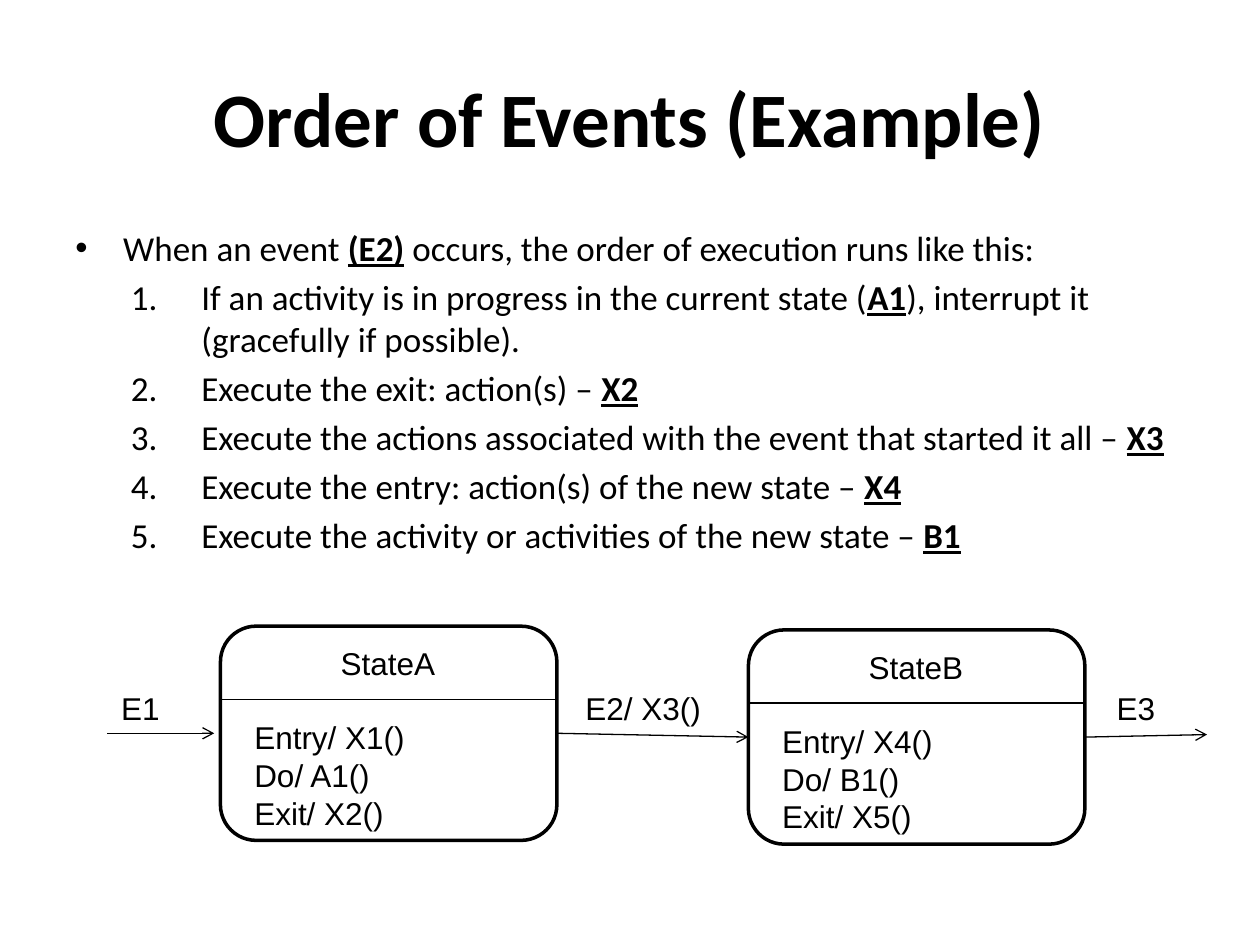
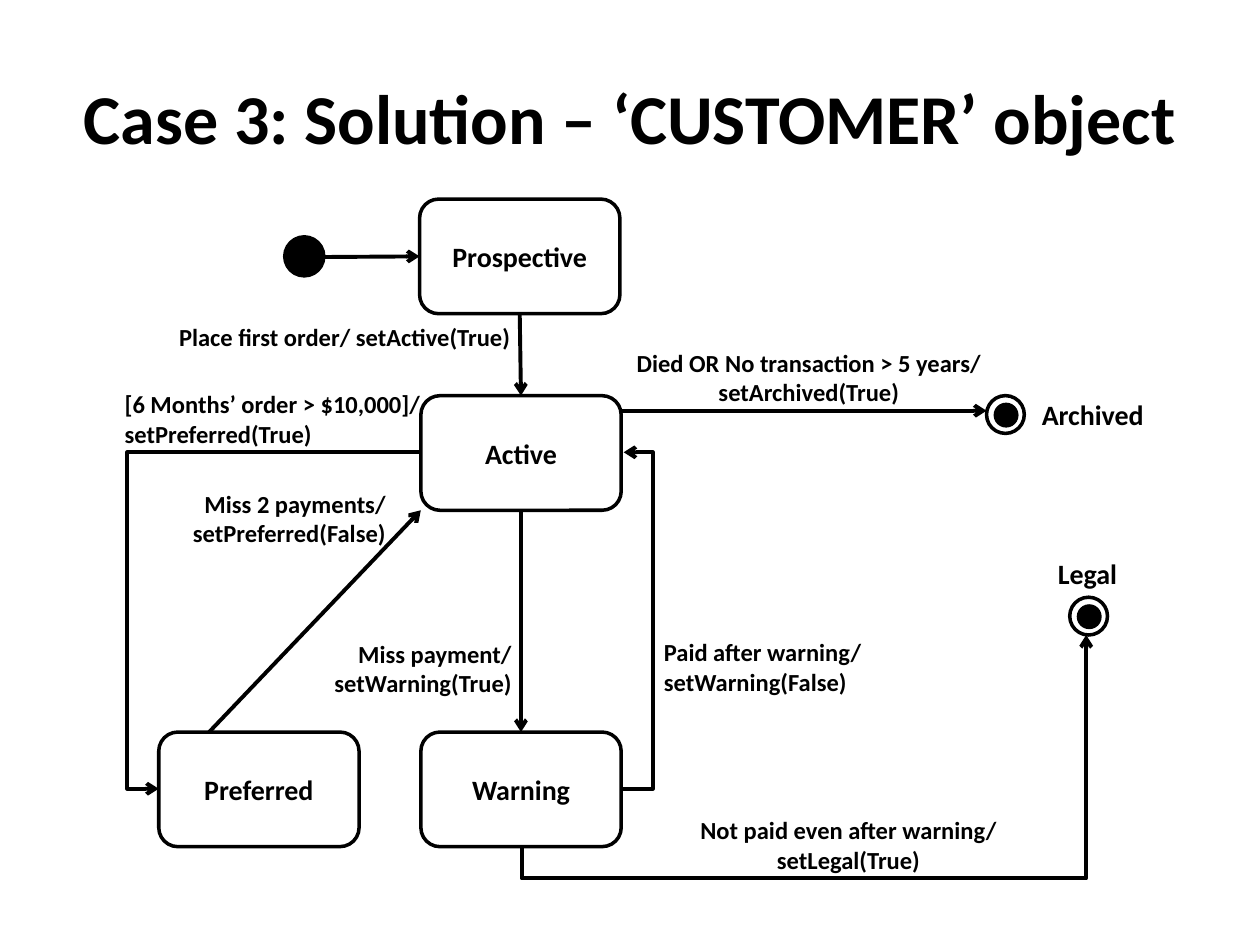
"""Build two slides on state diagrams: order of events, and a customer object."""
from lxml import etree
from pptx import Presentation
from pptx.dml.color import RGBColor
from pptx.enum.shapes import MSO_CONNECTOR, MSO_SHAPE
from pptx.enum.text import MSO_ANCHOR, PP_ALIGN
from pptx.oxml.ns import qn
from pptx.util import Pt

PX = 9144
BLACK = RGBColor(0, 0, 0)
HEADING_FONT = "Calibri"
DIAGRAM_FONT = "Arial"
LEFT, CENTER, RIGHT = PP_ALIGN.LEFT, PP_ALIGN.CENTER, PP_ALIGN.RIGHT
MIDDLE = MSO_ANCHOR.MIDDLE
STRAIGHT, ELBOW = MSO_CONNECTOR.STRAIGHT, MSO_CONNECTOR.ELBOW
ROUNDED = MSO_SHAPE.ROUNDED_RECTANGLE
OVAL = MSO_SHAPE.OVAL
NODE = MSO_SHAPE.FLOWCHART_CONNECTOR
TOP_SIDE, LEFT_SIDE, BOTTOM_SIDE, RIGHT_SIDE = range(4)
TITLE_BOUNDS = (50, 30, 900, 125)


def add_box(page, bounds, text="", size=14, font=HEADING_FONT, bold=True,
            align=CENTER, kind=None, fill=None):
    """Add a text box, or an outlined shape when a kind is given."""
    bounds = [length * PX for length in bounds]
    if kind is None:
        box = page.shapes.add_textbox(*bounds)
    else:
        box = page.shapes.add_shape(kind, *bounds)
        box.shadow.inherit = False
        box.line.color.rgb = BLACK
        box.line.width = Pt(2)
        box.text_frame.vertical_anchor = MIDDLE
        if fill is None:
            box.fill.background()
        else:
            box.fill.solid()
            box.fill.fore_color.rgb = fill
    box.text_frame.word_wrap = True
    box.text_frame.text = text
    for para in box.text_frame.paragraphs:
        para.alignment = align
        for span in para.runs:
            span.font.name = font
            span.font.size = Pt(size)
            span.font.bold = bold
            span.font.color.rgb = BLACK
    return box


def add_line(page, start, end, width, arrow=True, bend=None):
    """Add a line; bend is the elbow's place as a share of its width."""
    ends = [length * PX for length in (*start, *end)]
    line = page.shapes.add_connector(STRAIGHT if bend is None else ELBOW, *ends)
    line.line.color.rgb = BLACK
    line.line.width = Pt(width)
    properties = line._element.spPr
    if arrow:
        etree.SubElement(properties.find(qn("a:ln")), qn("a:tailEnd"), type="arrow")
    if bend is not None:
        guides = properties.find(qn("a:prstGeom")).get_or_add_avLst()
        etree.SubElement(guides, qn("a:gd"), name="adj1", fmla=f"val {round(bend * 100000)}")
    etree.SubElement(properties, qn("a:effectLst"))
    return line


deck = Presentation()
deck.slide_width, deck.slide_height = 1000 * PX, 750 * PX
blank = deck.slide_layouts[6]
pages = []
for title, title_size in [
    ("Order of Events (Example)", 44),
    ("Case 3: Solution – ‘CUSTOMER’ object", 40),
]:
    page = deck.slides.add_slide(blank)
    add_box(page, TITLE_BOUNDS, title, title_size).text_frame.vertical_anchor = MIDDLE
    pages.append(page)
events_page, customer_page = pages

steps = [
    ("When an event ", "(E2)", " occurs, the order of execution runs like this:"),
    ("If an activity is in progress in the current state (", "A1",
     "), interrupt it (gracefully if possible)."),
    ("Execute the exit: action(s) – ", "X2"),
    ("Execute the actions associated with the event that started it all – ", "X3"),
    ("Execute the entry: action(s) of the new state – ", "X4"),
    ("Execute the activity or activities of the new state – ", "B1"),
]
body = add_box(events_page, (50, 175, 900, 495)).text_frame
for index, pieces in enumerate(steps):
    para = body.add_paragraph() if index else body.paragraphs[0]
    para.alignment = LEFT
    properties = para._p.get_or_add_pPr()
    margin, indent = (100, -56) if index else (38, -38)
    properties.set("marL", str(margin * PX))
    properties.set("indent", str(indent * PX))
    if index:
        para.level = 1
        para.space_before = Pt(4)
        etree.SubElement(properties, qn("a:buFont"), typeface="+mj-lt")
        etree.SubElement(properties, qn("a:buAutoNum"), type="arabicPeriod")
    else:
        etree.SubElement(properties, qn("a:buFont"), typeface=DIAGRAM_FONT)
        etree.SubElement(properties, qn("a:buChar"), char="•")
    for position, piece in enumerate(pieces):
        span = para.add_run()
        span.text = piece
        span.font.name = HEADING_FONT
        span.font.size = Pt(20)
        span.font.color.rgb = BLACK
        span.font.bold = span.font.underline = position == 1

event_states = []
for name, left, top, actions in [
    ("StateA", 175, 497, "Entry/ X1()\nDo/ A1()\nExit/ X2()"),
    ("StateB", 594, 500, "Entry/ X4()\nDo/ B1()\nExit/ X5()"),
]:
    event_states.append(add_box(events_page, (left, top, 267, 170), kind=ROUNDED))
    add_line(events_page, (left, top + 58), (left + 267, top + 58), 0.75, arrow=False)
    add_box(events_page, (left + 33, top + 9, 200, 40), name, 18, DIAGRAM_FONT, False)
    add_box(events_page, (left + 17, top + 68, 233, 101), actions, 18, DIAGRAM_FONT,
            False, LEFT)
state_a, state_b = event_states

for label, left, width in [("E1", 67, 89), ("E2/ X3()", 442, 137), ("E3", 844, 115)]:
    add_box(events_page, (left, 542, width, 40), label, 18, DIAGRAM_FONT, False)
add_line(events_page, (85, 582), (170, 582), 0.75)
event_2 = add_line(events_page, (442, 582), (594, 585), 0.75)
event_2.begin_connect(state_a, RIGHT_SIDE)
event_2.end_connect(state_b, LEFT_SIDE)
event_3 = add_line(events_page, (861, 585), (958, 583), 0.75)
event_3.begin_connect(state_b, RIGHT_SIDE)

customer_states = {}
for name, left, top in [
    ("Prospective", 333, 158),
    ("Active", 334, 314),
    ("Warning", 334, 581),
    ("Preferred", 126, 581),
]:
    customer_states[name] = add_box(customer_page, (left, top, 159, 91), name, 16,
                                    kind=ROUNDED)

add_box(customer_page, (226, 188, 31, 31), kind=OVAL, fill=BLACK)
for left, top in [(783, 314), (849, 474)]:
    add_box(customer_page, (left + 7, top + 7, 17, 17), kind=NODE, fill=BLACK)
    add_box(customer_page, (left, top, 30, 30), kind=NODE)
add_box(customer_page, (817, 311, 133, 37), "Archived", 16, align=LEFT)
add_box(customer_page, (779, 437, 168, 37), "Legal", 16)

begin = add_line(customer_page, (257, 204), (333, 204), 2.25)
begin.end_connect(customer_states["Prospective"], LEFT_SIDE)
for source, target in [("Prospective", "Active"), ("Active", "Warning")]:
    step = add_line(customer_page, (413, 249), (413, 314), 2.25)
    step.begin_connect(customer_states[source], BOTTOM_SIDE)
    step.end_connect(customer_states[target], TOP_SIDE)
add_line(customer_page, (493, 326), (783, 326), 2.25)
add_line(customer_page, (166, 581), (334, 405), 2.25)
add_line(customer_page, (493, 626), (495, 359), 2.25, bend=12.5)
add_line(customer_page, (334, 359), (126, 626), 2.25, bend=1.12)
to_legal = add_line(customer_page, (722, 812), (554, 364), 2.25, bend=-0.15)
to_legal._element.spPr.find(qn("a:xfrm")).set("rot", str(90 * 60000))

for label, bounds, align in [
    ("Died OR No transaction > 5 years/ setArchived(True)", (467, 271, 350, 57), CENTER),
    ("Place first order/ setActive(True)", (102, 251, 313, 34), RIGHT),
    ("Miss payment/\nsetWarning(True)", (250, 502, 166, 57), RIGHT),
    ("[6 Months’ order > $10,000]/\nsetPreferred(True)", (89, 304, 258, 57), LEFT),
    ("Not paid even after warning/ setLegal(True)", (517, 642, 313, 57), CENTER),
    ("Paid after warning/ setWarning(False)", (517, 501, 179, 57), LEFT),
    ("Miss 2 payments/ setPreferred(False)", (117, 383, 199, 57), RIGHT),
]:
    add_box(customer_page, bounds, label, align=align)

deck.save("out.pptx")
